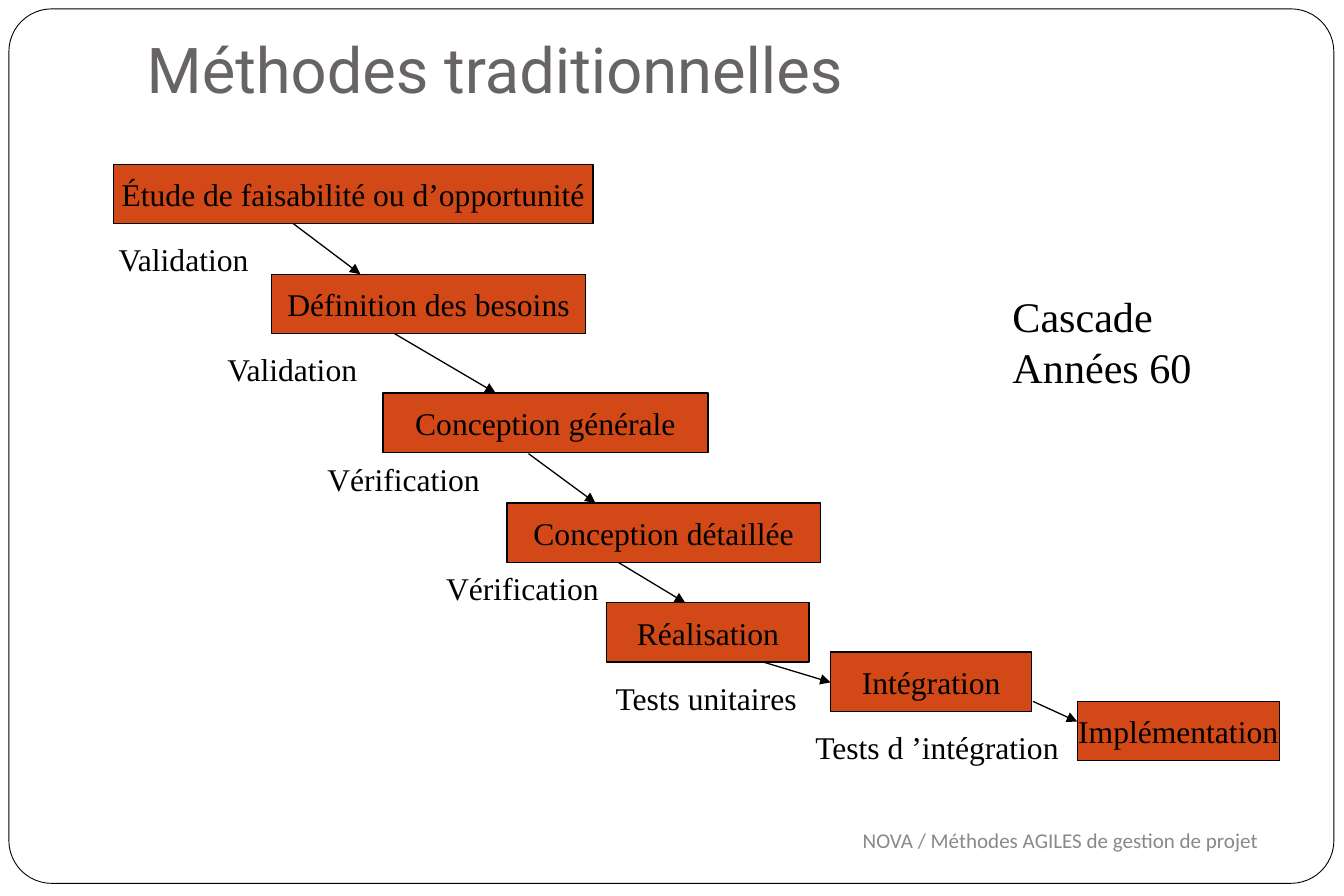
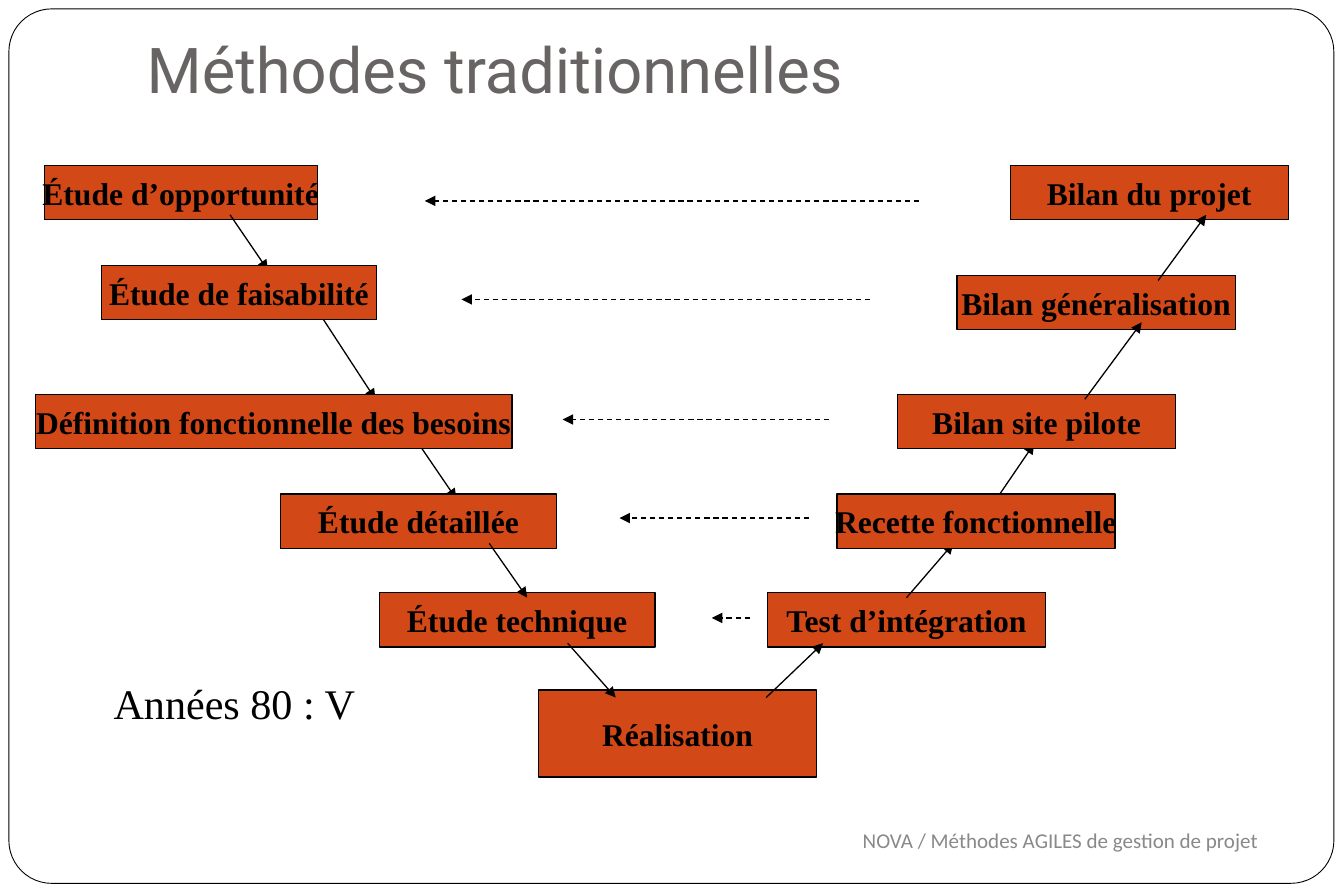
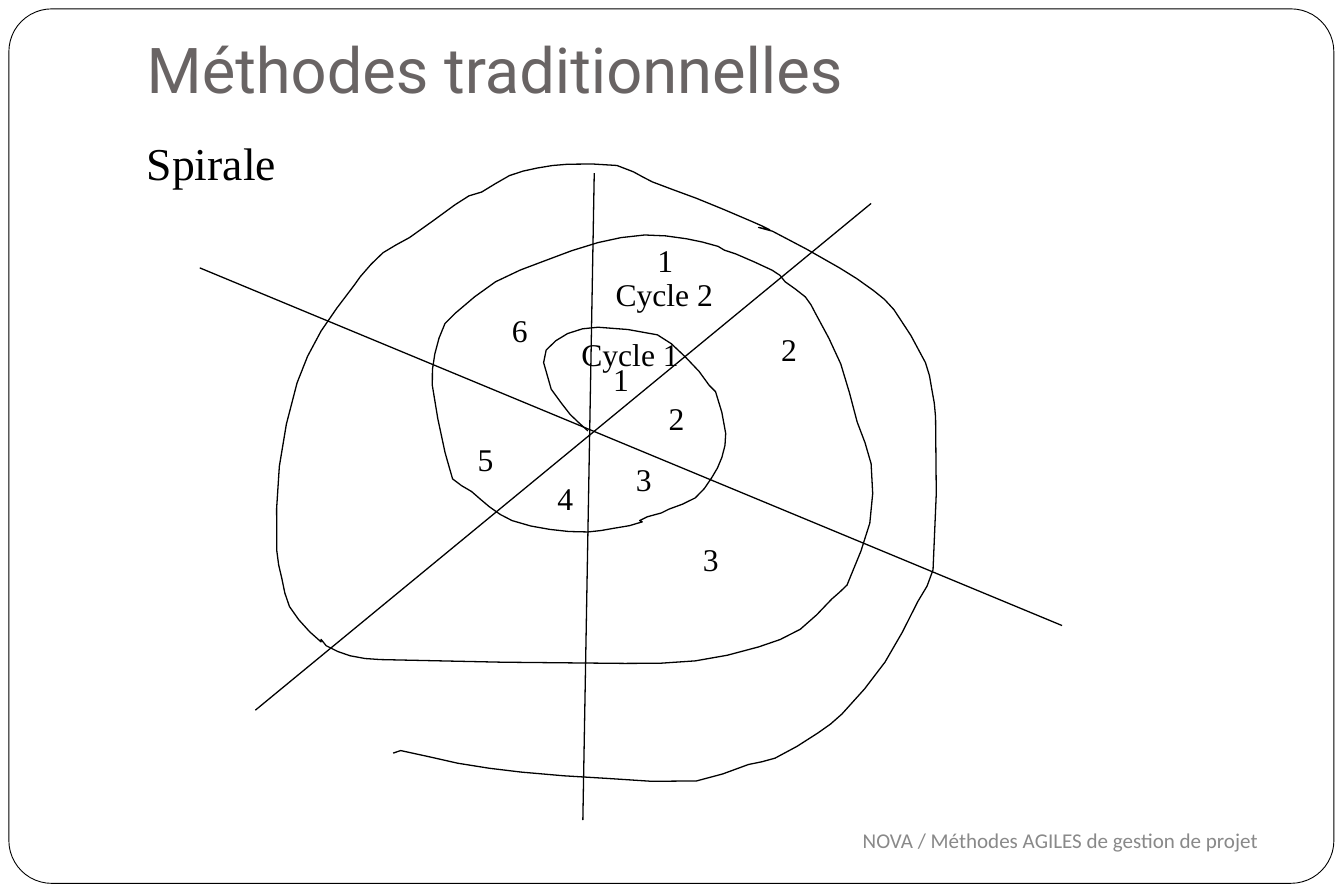
from itertools import pairwise
from math import dist

from lxml import etree
from pptx import Presentation
from pptx.dml.color import RGBColor
from pptx.enum.dml import MSO_LINE
from pptx.enum.shapes import MSO_CONNECTOR, MSO_SHAPE
from pptx.enum.text import MSO_ANCHOR, MSO_AUTO_SIZE, PP_ALIGN
from pptx.oxml.ns import qn
from pptx.util import Inches, Pt

LEFT, CENTER, RIGHT = PP_ALIGN.LEFT, PP_ALIGN.CENTER, PP_ALIGN.RIGHT
MIDDLE, BOTTOM, TOP = MSO_ANCHOR.MIDDLE, MSO_ANCHOR.BOTTOM, MSO_ANCHOR.TOP
NO_FIT, GROW = MSO_AUTO_SIZE.NONE, MSO_AUTO_SIZE.SHAPE_TO_FIT_TEXT
RECT, ROUND_RECT = MSO_SHAPE.RECTANGLE, MSO_SHAPE.ROUNDED_RECTANGLE
STRAIGHT, DASH = MSO_CONNECTOR.STRAIGHT, MSO_LINE.DASH

COLORS = {"ink": "000000", "paper": "FFFFFF", "box": "D34817",
          "title": "696464", "footer": "898989"}
TITLE_FONT, TEXT_FONT, FOOTER_FONT = "Roboto", "Times New Roman", "Calibri"
TITLE = "Méthodes traditionnelles"
FOOTER = "NOVA / Méthodes AGILES de gestion de projet"
TITLE_ONLY, TITLE_BODY = 5, 1

# Points the spiral passes through, from the centre outwards
SPIRAL = [
    (4.65, 3.41), (4.51, 3.28), (4.44, 3.19), (4.36, 3.08), (4.32, 2.94),
    (4.3, 2.87), (4.32, 2.77), (4.49, 2.64), (4.73, 2.59), (5.2, 2.65),
    (5.31, 2.72), (5.53, 2.94), (5.61, 3.05), (5.66, 3.1), (5.74, 3.43),
    (5.71, 3.62), (5.63, 3.78), (5.5, 3.94), (5.29, 4.03), (5.23, 4.06),
    (5.12, 4.09), (5.06, 4.12), (5.08, 4.13), (4.98, 4.16), (4.86, 4.18),
    (4.65, 4.21), (4.35, 4.19), (4.05, 4.12), (3.87, 4.01), (3.73, 3.89),
    (3.58, 3.79), (3.54, 3.65), (3.52, 3.58), (3.42, 3.05), (3.44, 2.8),
    (3.52, 2.56), (3.6, 2.48), (3.92, 2.23), (4.32, 2.06), (4.73, 1.92),
    (5.1, 1.86), (5.43, 1.89), (5.68, 1.95), (5.73, 1.98), (5.82, 2.01),
    (6.11, 2.14), (6.17, 2.18), (6.21, 2.23), (6.37, 2.35), (6.45, 2.48),
    (6.65, 2.88), (6.78, 3.34), (6.89, 3.67), (6.88, 4.14), (6.72, 4.58),
    (6.7, 4.63), (6.58, 4.74), (6.33, 4.98), (6, 5.12), (5.5, 5.23),
    (4.94, 5.25), (3.01, 5.22), (2.77, 5.19), (2.58, 5.11), (2.54, 5.06),
    (2.54, 5.08), (2.45, 5), (2.29, 4.8), (2.23, 4.58), (2.19, 4.36),
    (2.21, 3.69), (2.35, 3.03), (2.54, 2.62), (2.8, 2.26), (2.85, 2.19),
    (3.03, 2), (3.24, 1.88), (3.6, 1.62), (3.71, 1.55), (3.81, 1.52),
    (4.03, 1.39), (4.25, 1.33), (4.49, 1.3), (4.88, 1.31), (5.01, 1.36),
    (5.16, 1.44), (5.51, 1.57), (5.94, 1.75), (6.09, 1.82), (6, 1.8),
    (6.11, 1.83), (6.64, 2.12), (6.91, 2.3), (7.07, 2.45), (7.32, 2.87),
    (7.37, 3.08), (7.4, 3.3), (7.38, 4.51), (7.26, 4.76), (7, 5.24),
    (6.66, 5.65), (6.47, 5.8), (6.13, 6), (5.92, 6.05), (5.51, 6.18),
    (4.8, 6.16), (4.12, 6.11), (3.62, 6.04), (3.17, 5.94), (3.11, 5.96),
]


def rgb(name):
    return RGBColor.from_string(COLORS[name])


def write(tf, lines, size, font=TEXT_FONT, color="ink", align=LEFT, bold=None):
    for i, line in enumerate(lines):
        p = tf.add_paragraph() if i else tf.paragraphs[0]
        p.alignment = align
        r = p.add_run()
        r.text = line
        r.font.size, r.font.name, r.font.bold = Pt(size), font, bold
        r.font.color.rgb = rgb(color)


def place(sp, *at):
    sp.left, sp.top, sp.width, sp.height = map(Inches, at)


def outline(sp, width=0.75):
    sp.line.color.rgb = rgb("ink")
    sp.line.width = Pt(width)


def shape(s, kind, at, fill, line=0.75):
    sp = s.shapes.add_shape(kind, *map(Inches, at))
    sp.shadow.inherit = False
    sp.fill.solid()
    sp.fill.fore_color.rgb = rgb(fill)
    outline(sp, line)
    return sp


def box(s, text, at, bold=None):
    tf = shape(s, RECT, at, "box").text_frame
    tf.word_wrap = False
    tf.vertical_anchor = MIDDLE
    write(tf, [text], 18, align=CENTER, bold=bold)


def label(s, lines, at, size=18):
    tf = s.shapes.add_textbox(*map(Inches, at)).text_frame
    tf.word_wrap = False
    tf.auto_size = GROW
    write(tf, lines, size)


def line(s, x1, y1, x2, y2, head=True, dash=False):
    c = s.shapes.add_connector(STRAIGHT, *map(Inches, (x1, y1, x2, y2)))
    outline(c)
    if dash:
        c.line.dash_style = DASH
    if head:
        etree.SubElement(c.line._get_or_add_ln(), qn("a:tailEnd"), type="triangle")
    etree.SubElement(c.element.spPr, qn("a:effectLst"))


def smooth(points):
    """Add a point halfway along the smooth curve between each two points."""
    ends = zip(points[:1] + points[:-1], points[1:] + points[-1:])
    slopes = []
    for p, (before, after) in zip(points, ends):
        length = dist(before, p) + dist(p, after)
        slopes.append([(b - a) / length for a, b in zip(before, after)])
    curve = [points[0]]
    for (p, m), (q, n) in pairwise(zip(points, slopes)):
        d = dist(p, q)
        if d > 0.15:
            curve.append(tuple((a + b) / 2 + d * (u - v) / 8
                               for a, b, u, v in zip(p, q, m, n)))
        curve.append(q)
    return curve


def spiral(s, points):
    start, *rest = [(Inches(x), Inches(y)) for x, y in smooth(points)]
    fb = s.shapes.build_freeform(*start)
    fb.add_line_segments(rest, close=False)
    sp = fb.convert_to_shape()
    sp.shadow.inherit = False
    sp.fill.background()
    outline(sp)


def add_frame(prs, s):
    """Draw the rounded frame and move it to the master, behind all slides."""
    frame = shape(s, ROUND_RECT, (0.07, 0.07, 10.48, 6.92), "paper", 0.5)
    frame.adjustments[0] = 0.049
    frame.element.nvSpPr.cNvPr.set("id", "99")
    prs.slide_master.shapes.element.insert(2, frame.element)


def new_slide(prs, layout):
    s = prs.slides.add_slide(prs.slide_layouts[layout])
    title = s.shapes.title
    place(title, 1.06, 0.28, 9.04, 0.66)
    tf = title.text_frame
    tf.vertical_anchor, tf.auto_size = BOTTOM, NO_FIT
    tf.margin_bottom = Inches(0.1)
    write(tf, [TITLE], 36, TITLE_FONT, "title")
    return s


def footer(s):
    tf = s.shapes.add_textbox(*map(Inches, (5, 6.4, 5.05, 0.49))).text_frame
    tf.word_wrap = True
    tf.vertical_anchor = MIDDLE
    write(tf, [FOOTER], 12, FOOTER_FONT, "footer", RIGHT)


def cascade_slide(s):
    for text, x, y, w in [
            ("Étude de faisabilité ou d’opportunité", 0.9, 1.3, 3.79),
            ("Définition des besoins", 2.15, 2.17, 2.48),
            ("Conception générale", 3.03, 3.11, 2.57),
            ("Conception détaillée", 4.01, 3.98, 2.48),
            ("Réalisation", 4.8, 4.77, 1.6),
            ("Implémentation", 8.52, 5.55, 1.6),
            ("Intégration", 6.57, 5.16, 1.59)]:
        box(s, text, (x, y, w, 0.47))
    for ends in [(2.32, 1.77, 2.85, 2.17), (3.12, 2.64, 3.92, 3.11),
                 (4.18, 3.59, 4.71, 3.98), (4.89, 4.45, 5.42, 4.77),
                 (6.04, 5.24, 6.57, 5.4), (8.17, 5.55, 8.52, 5.71)]:
        line(s, *ends)
    for text, x, y, w in [("Validation", 0.84, 1.85, 1.26),
                          ("Validation", 1.7, 2.72, 1.26),
                          ("Vérification", 2.49, 3.59, 1.41),
                          ("Vérification", 3.43, 4.45, 1.41),
                          ("Tests unitaires", 4.77, 5.32, 1.65),
                          ("Tests d ’intégration", 6.35, 5.71, 2.15)]:
        label(s, [text], (x, y, w, 0.4))
    label(s, ["Cascade", "Années 60"], (7.91, 2.25, 1.63, 0.91), 24)


def v_boxes(s, boxes):
    for text, x, y, w in boxes:
        box(s, text, (x, y, w, 0.43), bold=True)


def v_slide(s):
    """Some arrows lie under the boxes and others over them."""
    v_boxes(s, [("Étude d’opportunité", 0.35, 1.31, 2.16),
                ("Test d’intégration", 6.07, 4.69, 2.2)])
    box(s, "Réalisation", (4.26, 5.46, 2.2, 0.69), bold=True)
    for ends in [(1.82, 1.7, 2.12, 2.14), (2.52, 2.47, 2.97, 3.16),
                 (3.31, 3.51, 3.61, 3.95), (6.06, 5.52, 6.51, 5.09),
                 (7.88, 3.95, 8.18, 3.51), (7.17, 4.73, 7.54, 4.3)]:
        line(s, *ends)
    v_boxes(s, [("Étude de faisabilité", 0.8, 2.1, 2.18),
                ("Étude détaillée", 2.22, 3.91, 2.18),
                ("Définition fonctionnelle des besoins", 0.28, 3.12, 3.77),
                ("Étude technique", 3, 4.69, 2.18),
                ("Recette fonctionnelle", 6.62, 3.91, 2.2),
                ("Bilan site pilote", 7.1, 3.12, 2.2),
                ("Bilan généralisation", 7.57, 2.18, 2.2),
                ("Bilan du projet", 7.99, 1.31, 2.2)])
    for ends in [(3.87, 4.3, 4.17, 4.73), (4.49, 5.09, 4.87, 5.52),
                 (8.58, 3.16, 9.03, 2.55), (9.16, 2.22, 9.54, 1.7)]:
        line(s, *ends)
    for y, x1, x2 in [(1.59, 7.27, 3.36), (2.37, 6.88, 3.65), (3.32, 6.56, 4.45),
                      (4.1, 6.4, 4.9), (4.89, 5.93, 5.63)]:
        line(s, x1, y, x2, y, dash=True)
    label(s, ["Années 80 : V"], (0.8, 5.31, 2.13, 0.5), 24)


def spiral_slide(s):
    body = s.placeholders[1]
    place(body, 1.06, 1.02, 9.04, 5.2)
    tf = body.text_frame
    tf.vertical_anchor, tf.auto_size = TOP, NO_FIT
    write(tf, ["Spirale"], 26)
    p = tf.paragraphs[0]
    p.space_before = Pt(5.8)
    pPr = p._p.get_or_add_pPr()
    pPr.set("marL", "0")
    pPr.set("indent", "0")
    etree.SubElement(pPr, qn("a:buNone"))

    for ends in [(4.7, 1.37, 4.61, 6.49), (1.58, 2.12, 8.4, 4.95),
                 (2.02, 5.62, 6.89, 1.61)]:
        line(s, *ends, head=False)
    spiral(s, SPIRAL)
    for text, x, y in [("1", 4.75, 2.8), ("2", 5.19, 3.11), ("3", 4.93, 3.59),
                       ("4", 4.31, 3.74), ("5", 3.68, 3.43), ("6", 3.95, 2.41),
                       ("1", 5.1, 1.86), ("2", 6.08, 2.56), ("3", 5.46, 4.22)]:
        label(s, [text], (x, y, 0.35, 0.38))
    for text, x, y in [("Cycle 1", 4.5, 2.6), ("Cycle 2", 4.77, 2.13)]:
        label(s, [text], (x, y, 1.03, 0.38))


def main():
    prs = Presentation()
    prs.slide_width, prs.slide_height = Inches(10.63), Inches(7.09)
    for layout, draw in [(TITLE_ONLY, cascade_slide), (TITLE_ONLY, v_slide),
                         (TITLE_BODY, spiral_slide)]:
        s = new_slide(prs, layout)
        draw(s)
        footer(s)
    add_frame(prs, s)
    prs.save("out.pptx")


if __name__ == "__main__":
    main()
